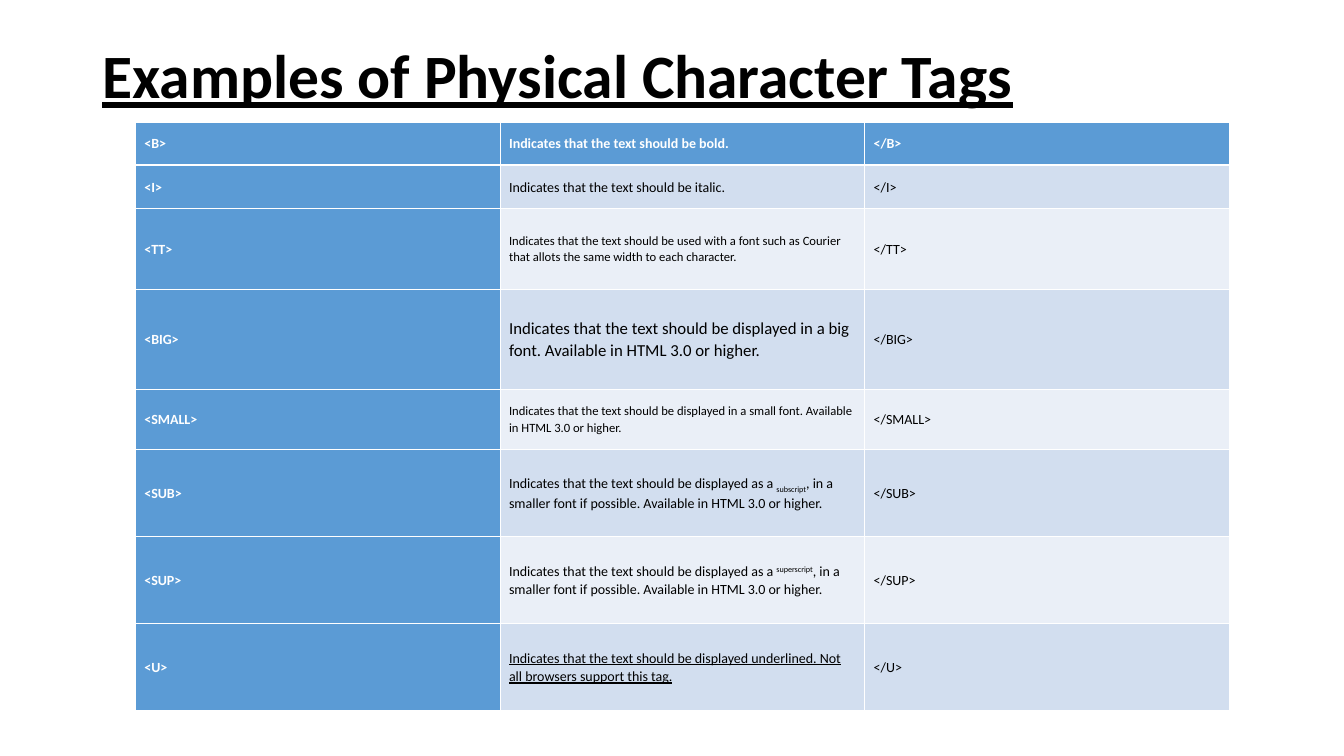
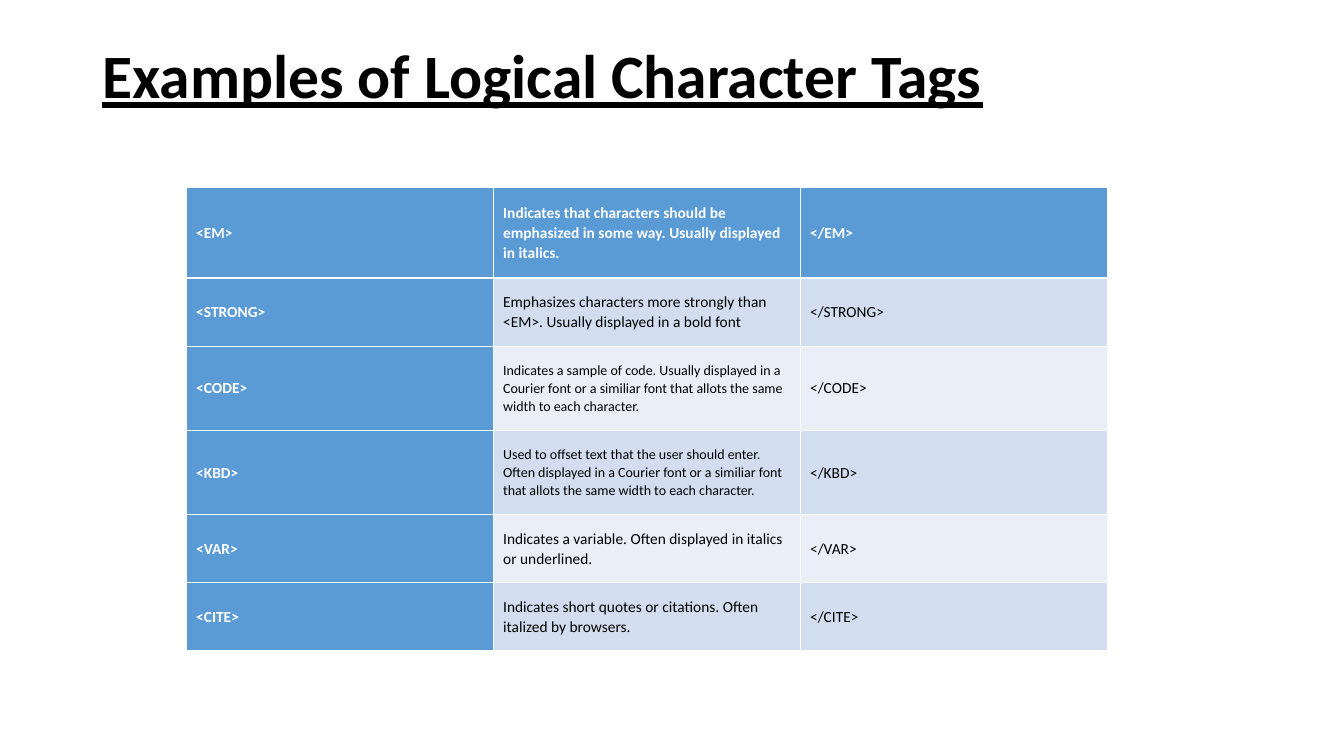
from dataclasses import dataclass

from lxml.etree import SubElement
from pptx import Presentation
from pptx.dml.color import RGBColor
from pptx.enum.text import MSO_ANCHOR
from pptx.oxml.ns import qn
from pptx.util import Pt

# Content: each row is tag, height, description runs as (text, format)
PHYSICAL_TAGS = [
    ("B", 31, [("Indicates that the text should be bold.", {})]),
    ("I", 31, [("Indicates that the text should be italic.", {})]),
    ("TT", 57.4, [("Indicates that the text should be used with a font such as Courier "
                   "that allots the same width to each character.", {"size": 9})]),
    ("BIG", 71.5, [("Indicates that the text should be displayed in a big font. "
                    "Available in HTML 3.0 or higher.", {"size": 12})]),
    ("SMALL", 43.4, [("Indicates that the text should be displayed in a small font. "
                      "Available in HTML 3.0 or higher.", {"size": 9})]),
    ("SUB", 62.1, [("Indicates that the text should be displayed as a ", {}),
                   ("subscript", {"baseline": -25}),
                   (", in a smaller font if possible. Available in HTML 3.0 or higher.", {})]),
    ("SUP", 62.1, [("Indicates that the text should be displayed as a ", {}),
                   ("superscript", {"baseline": 30}),
                   (", in a smaller font if possible. Available in HTML 3.0 or higher.", {})]),
    ("U", 62.1, [("Indicates that the text should be displayed underlined. "
                  "Not all browsers support this tag.", {"underline": True})]),
]
LOGICAL_TAGS = [
    ("EM", 64.4, [("Indicates that characters should be emphasized in some way. "
                   "Usually displayed in italics.", {})]),
    ("STRONG", 48.7, [("Emphasizes characters more strongly than <EM>. "
                       "Usually displayed in a bold font", {})]),
    ("CODE", 60.1, [("Indicates a sample of code. Usually displayed in a Courier font or a "
                     "similiar font that allots the same width to each character.",
                     {"size": 10})]),
    ("KBD", 60.1, [("Used to offset text that the user should enter. Often displayed in a "
                    "Courier font or a similiar font that allots the same width to each "
                    "character.", {"size": 10})]),
    ("VAR", 48.7, [("Indicates a variable. Often displayed in italics or underlined.", {})]),
    ("CITE", 48.7, [("Indicates short quotes or citations. Often italized by browsers.", {})]),
]
SLIDES = [
    {"title": "Examples of Physical Character Tags", "tags": PHYSICAL_TAGS,
     "left": 96.7, "top": 87, "column": 260.64, "inset": 6.5, "size": 10},
    {"title": "Examples of Logical Character Tags", "tags": LOGICAL_TAGS,
     "left": 133, "top": 134, "column": 219.4, "inset": 7.2, "size": 11},
]


# Shared look
@dataclass(frozen=True)
class Theme:
    font: str = "Calibri"
    ink: str = "000000"
    light: str = "FFFFFF"
    accent: str = "5B9BD5"
    bands: tuple = ("EAEFF7", "D2DEEF")
    title_size: float = 44
    thin: float = 0.45
    thick: float = 1.47


THEME = Theme()
SLIDE_SIZE = (960.48, 540)
TITLE_BOX = (66.2, 28.8, 828, 104.4)


def add_run(paragraph, text, color, size, baseline=0, **emphasis):
    run = paragraph.add_run()
    run.text = text
    font_values = {"name": THEME.font, "size": Pt(size), **emphasis}
    for attribute, value in font_values.items():
        setattr(run.font, attribute, value)
    run.font.color.rgb = RGBColor.from_string(color)
    if baseline:
        run.font._element.set("baseline", str(baseline * 1000))


def add_title(slide, title):
    frame = slide.shapes.add_textbox(*map(Pt, TITLE_BOX)).text_frame
    frame.word_wrap = True
    frame.vertical_anchor = MSO_ANCHOR.TOP
    heading = frame.paragraphs[0]
    heading.line_spacing = 0.9
    add_run(heading, title, THEME.ink, THEME.title_size, bold=True, underline=True)


def add_borders(cell, row):
    widths = {"a:lnL": THEME.thin, "a:lnR": THEME.thin,
              "a:lnT": THEME.thick if row == 1 else THEME.thin,
              "a:lnB": THEME.thick if row == 0 else THEME.thin}
    properties = cell._tc.get_or_add_tcPr()
    for side, width in widths.items():
        line = SubElement(properties, qn(side), w=str(int(Pt(width))))
        paint = SubElement(line, qn("a:solidFill"))
        SubElement(paint, qn("a:srgbClr"), val=THEME.light)


def fill_cell(cell, runs, row, column, inset, size):
    is_header = row == 0 or column == 0
    add_borders(cell, row)
    cell.fill.solid()
    cell.fill.fore_color.rgb = RGBColor.from_string(
        THEME.accent if is_header else THEME.bands[row % 2])
    cell_values = {"vertical_anchor": MSO_ANCHOR.MIDDLE,
                   "margin_left": Pt(inset), "margin_right": Pt(inset),
                   "margin_top": Pt(inset / 2), "margin_bottom": Pt(inset / 2)}
    for attribute, value in cell_values.items():
        setattr(cell, attribute, value)
    paragraph = cell.text_frame.paragraphs[0]
    paragraph.line_spacing = 1.07
    paragraph.space_after = Pt(8)
    for text, changes in runs:
        add_run(paragraph, text, THEME.light if is_header else THEME.ink,
                **{"size": size, "bold": is_header, **changes})


def add_tag_table(slide, tags, left, top, column, inset, size):
    total_height = sum(height for _, height, _ in tags)
    table = slide.shapes.add_table(len(tags), 3, Pt(left), Pt(top),
                                   Pt(3 * column), Pt(total_height)).table
    table.first_col = True
    for table_column in table.columns:
        table_column.width = Pt(column)
    for row, (tag, height, description) in enumerate(tags):
        table.rows[row].height = Pt(height)
        entries = [[(f"<{tag}>", {})], description, [(f"</{tag}>", {})]]
        for index, runs in enumerate(entries):
            fill_cell(table.cell(row, index), runs, row, index, inset, size)


def main():
    deck = Presentation()
    deck.slide_width, deck.slide_height = map(Pt, SLIDE_SIZE)
    for content in SLIDES:
        slide = deck.slides.add_slide(deck.slide_layouts[6])
        layout = dict(content)
        add_title(slide, layout.pop("title"))
        add_tag_table(slide, **layout)
    deck.save("out.pptx")


if __name__ == "__main__":
    main()
